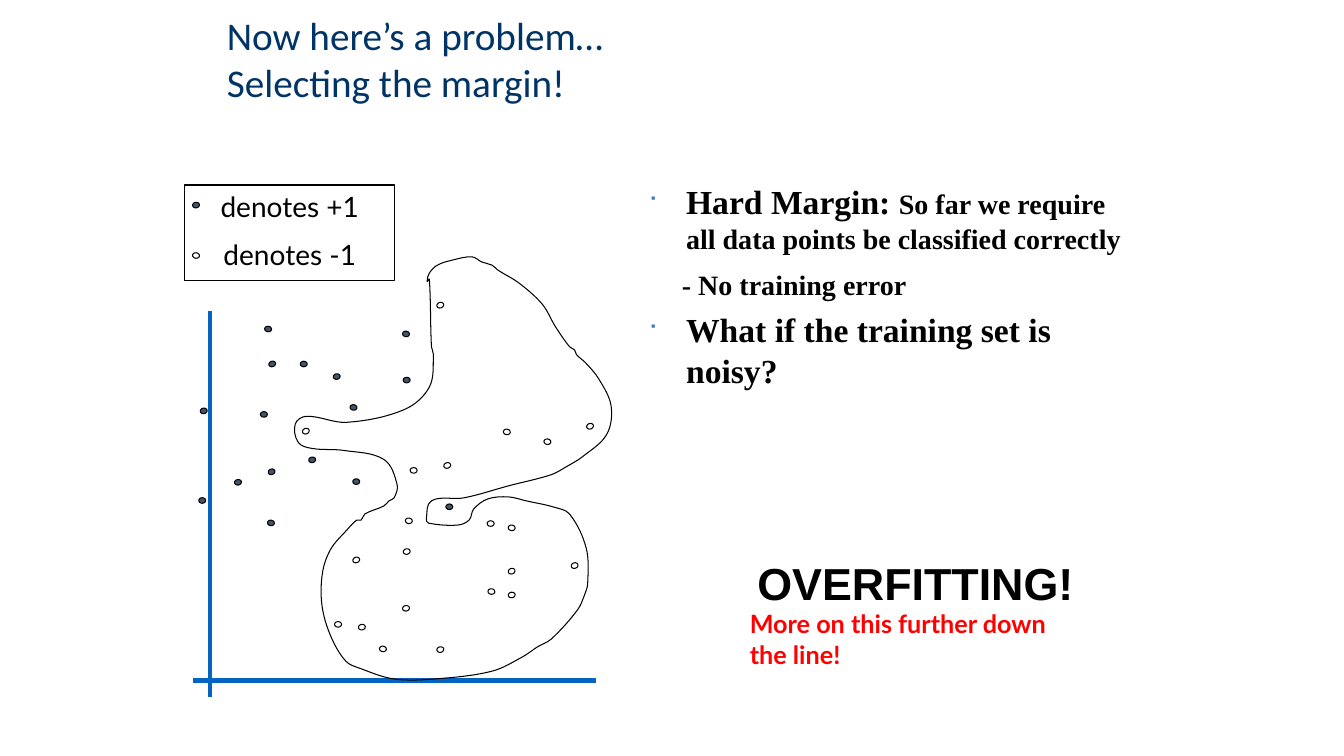
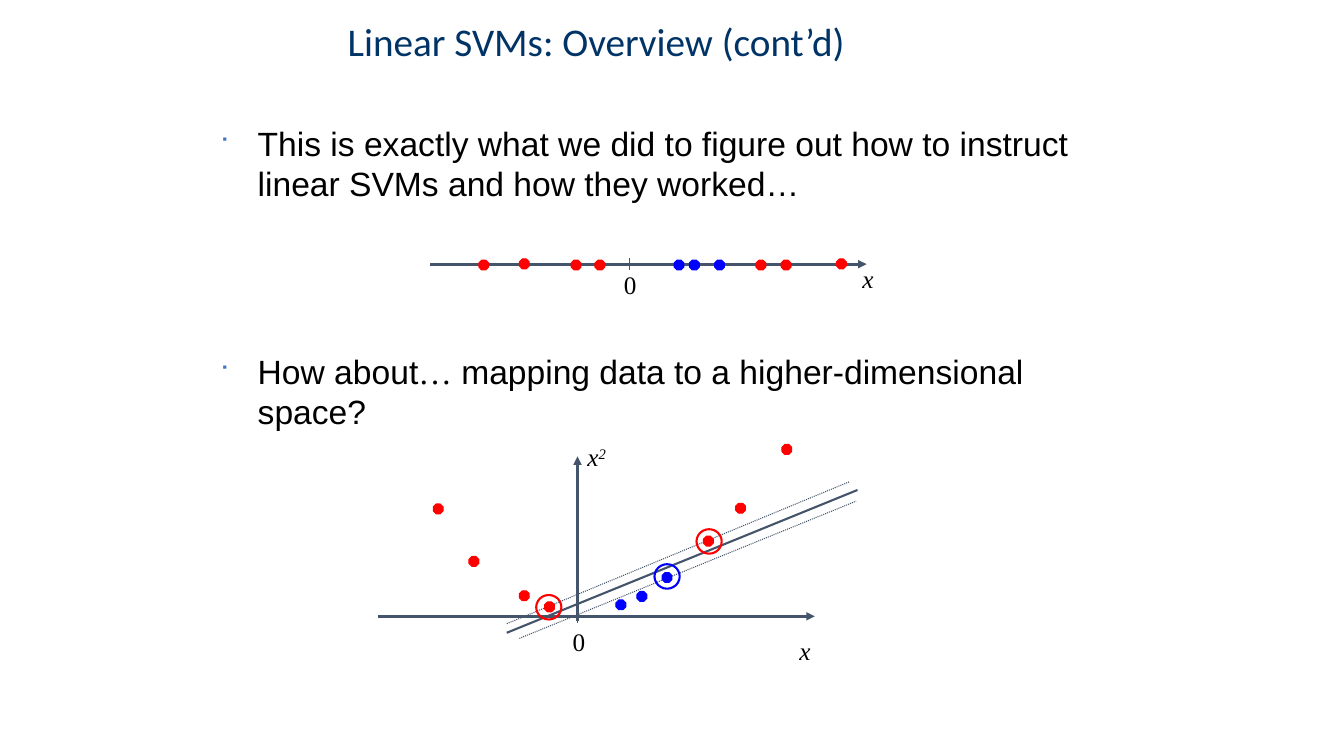
from math import hypot
from lxml import etree
from pptx import Presentation, util as u
from pptx.dml.color import RGBColor
from pptx.enum import dml, shapes, text
from pptx.oxml.ns import qn

Pt = u.Pt
HUE = {"navy": "003366", "ink": "000000", "slate": "44546A", "white": "FFFFFF",
       "red": "FF0000", "blue": "0000FF", "axis": "0563C1", "mark": "4472C4"}
RGB = {key: RGBColor.from_string(val) for key, val in HUE.items()}
KIND = shapes.MSO_SHAPE

# Shared text formats
HEAD = {"name": "Calibri", "size": Pt(28), "color": "navy"}
BIG = {"name": "Times New Roman", "size": Pt(24), "bold": True, "color": "ink"}
SMALL = BIG | {"size": Pt(20)}
BODY = {"name": "Arial", "size": Pt(24), "color": "ink"}
DOTS = BODY | {"name": "Times New Roman"}
KEY = {"name": "Lato", "size": Pt(20), "color": "ink"}
LABEL = {"name": "Times New Roman", "size": Pt(18), "color": "ink"}
VAR = LABEL | {"italic": True}
SHOUT = {"name": "Arial", "size": Pt(32), "bold": True, "color": "ink"}
NOTE = {"name": "Lato", "size": Pt(18), "bold": True, "color": "red"}


def put(page, kind, box, fill, line, wide=0.75, tilt=0):
    """Add a preset shape; fill may be None."""
    item = page.shapes.add_shape(kind, *map(Pt, box))
    item.shadow.inherit = False
    item.rotation = tilt
    if fill:
        item.fill.solid()
        item.fill.fore_color.rgb = RGB[fill]
    else:
        item.fill.background()
    item.line.color.rgb = RGB[line]
    item.line.width = Pt(wide)
    return item


def write(item, paras, align=None):
    """Fill a shape with (options, runs) paragraphs."""
    frame = item.text_frame
    frame.word_wrap = True
    frame.vertical_anchor = text.MSO_ANCHOR.TOP
    for num, (opts, runs) in enumerate(paras):
        para = frame.add_paragraph() if num else frame.paragraphs[0]
        para.alignment = align or text.PP_ALIGN.LEFT
        if "gap" in opts:
            para.space_before = Pt(opts["gap"])
        props = para._p.get_or_add_pPr()
        if "left" in opts:
            props.set("marL", str(Pt(opts["left"])))
        if opts.get("mark"):
            props.set("indent", str(-Pt(opts["left"])))
            color = etree.SubElement(props, qn("a:buClr"))
            etree.SubElement(color, qn("a:srgbClr"), val=HUE["mark"])
            etree.SubElement(props, qn("a:buSzPct"), val="65000")
            etree.SubElement(props, qn("a:buFont"), typeface="Wingdings")
            etree.SubElement(props, qn("a:buChar"), char="■")
        for words, form in runs:
            for part, line in enumerate(words.split("\n")):
                if part:
                    para.add_line_break()
                run = para.add_run()
                run.text = line
                for key, val in form.items():
                    if key == "color":
                        run.font.color.rgb = RGB[val]
                    elif key == "base":
                        run.font._element.set("baseline", val)
                    else:
                        setattr(run.font, key, val)
    return frame


deck = Presentation()
deck.slide_width, deck.slide_height = Pt(960), Pt(540)
one, two = (deck.slides.add_slide(deck.slide_layouts[6]) for _ in range(2))
LIST = {"left": 27, "mark": True}

# Legend box
write(put(one, KIND.RECTANGLE, (132, 132, 150, 68.5), None, "ink", 1),
      [({}, [("denotes +1", KEY)]), ({"gap": 10}, [("denotes -1", KEY)])],
      text.PP_ALIGN.CENTER)

# Lines: page, from, to, colour, width, style
LINES = [
    (one, (150, 222), (150, 498), "axis", 3, ""),
    (one, (138, 486), (426, 486), "axis", 3, ""),
    (two, (307.5, 188.7), (619, 188.7), "slate", 2, "arrow"),
    (two, (449.8, 184.5), (449.8, 193), "slate", 0.75, ""),
    (two, (270, 440.2), (582, 440.2), "slate", 2, "arrow"),
    (two, (412.5, 443.5), (412.5, 326), "slate", 2, "arrow"),
    (two, (412.5, 435.5), (412.5, 445), "slate", 0.75, ""),
    (two, (362, 452), (612.5, 350), "slate", 1.5, ""),
    (two, (362, 445.5), (607, 344), "slate", 0.75, "dots"),
    (two, (371, 456), (611.5, 358), "slate", 0.75, "dots"),
]
for page, start, end, color, wide, style in LINES:
    link = page.shapes.add_connector(shapes.MSO_CONNECTOR.STRAIGHT,
                                     *map(Pt, start + end))
    link.line.color.rgb = RGB[color]
    link.line.width = Pt(wide)
    if style == "dots":
        link.line.dash_style = dml.MSO_LINE.ROUND_DOT
    if style == "arrow":
        etree.SubElement(link.line._get_or_add_ln(), qn("a:tailEnd"), type="triangle")
    etree.SubElement(link._element.spPr, qn("a:effectLst"))

# Training points, by tilt: +1 class, then -1 class
POINTS = {
    0: ([(142, 355.5), (288, 269.5), (214.5, 258), (252, 342), (186, 294), (318.5, 360)],
        [(239, 444), (293, 334), (348, 372)]),
    341.4: ([(192, 258), (191.5, 335)],
            [(252, 398), (419, 302.5), (363, 406), (317, 330.5), (408, 402),
             (216, 306), (312, 216)]),
    98.3: ([(250.5, 288.5), (191.5, 371), (288, 236), (189.5, 232.5)],
           [(138, 180), (271.5, 461), (363.5, 374.5), (290, 369.5), (389, 313),
            (360, 306), (349, 420)]),
    79.6: ([(138, 144), (221, 326), (168, 342), (238.5, 266.5), (143.5, 291)],
           [(312.5, 461.5), (288, 432), (288.5, 391.5), (256.5, 445.5), (363.5, 422.5)]),
}
for tilt, groups in POINTS.items():
    size = (4, 5) if 45 < tilt < 135 else (5, 4)
    for fill, spots in zip(("slate", "white"), groups):
        for spot in spots:
            put(one, KIND.OVAL, spot + size, fill, "ink", tilt=tilt)

# Overfitted border: a smooth closed curve through these knots
KNOTS = [
    (306.7, 199.4), (308.2, 247.7), (309.6, 253.4), (306.7, 276.5), (289, 292.5),
    (247.7, 301.7), (218.9, 297.4), (210.9, 302.9), (213.1, 316.1), (223.2, 320.4),
    (245.5, 321.8), (274.3, 328.3), (283.7, 346.3), (281.5, 355.7), (277.9, 357.8),
    (274.3, 361.4), (260.6, 367.2), (258, 371.5), (254.9, 371.5), (247.7, 378.7),
    (236.2, 392.4), (230.4, 409), (230, 432.4), (236.2, 454.3), (247, 472.3),
    (257, 477.4), (281.3, 485), (310.7, 485), (351.4, 479.5),
    (373, 469.4), (383.8, 462.2), (393.8, 456.5), (412.6, 435.6), (417.6, 424.8),
    (419.8, 416.9), (418.7, 391.5), (406.8, 367.2), (395.3, 362.2), (375.8, 357.8),
    (363.2, 355), (348.5, 356.4), (338.4, 363.6), (335.1, 371.5), (326.9, 375.1),
    (306, 373.7), (304.6, 370.8), (308.2, 357.8), (331.2, 355.7), (363.6, 347),
    (393.8, 339.1), (404.6, 333.4), (416.2, 326.2), (433.4, 310.3),
    (436.5, 290), (427.7, 270.7), (418.3, 259.2), (411.8, 253.4), (410.4, 250),
    (406.8, 247.7), (396.7, 233.3), (387.4, 217.4), (370.8, 202.3), (355.7, 193),
    (351.4, 189.4), (344.2, 187.2), (337.2, 183.5), (323.3, 185.8),
    (312.5, 189.4), (306.7, 195.1), (305.1, 201),
]
pen = one.shapes.build_freeform(*map(Pt, KNOTS[0]))
pen.add_line_segments([tuple(map(Pt, knot)) for knot in KNOTS[1:] + KNOTS[:1]])
border = pen.convert_to_shape()
border.shadow.inherit = False
border.fill.background()
border.line.color.rgb = RGB["ink"]
border.line.width = Pt(0.75)

# Bend each straight side along the direction between neighbouring knots
ways = []
for num in range(len(KNOTS)):
    (ax, ay), (bx, by) = KNOTS[num - 1], KNOTS[(num + 1) % len(KNOTS)]
    span = hypot(bx - ax, by - ay)
    ways.append(((bx - ax) / span, (by - ay) / span))
for num, side in enumerate(list(border._element.iter(qn("a:lnTo")))):
    nxt = (num + 1) % len(KNOTS)
    a, b = KNOTS[num], KNOTS[nxt]
    reach = hypot(b[0] - a[0], b[1] - a[1]) / 3
    bend = etree.Element(qn("a:cubicBezTo"))
    for (x, y), (dx, dy), far in ((a, ways[num], reach), (b, ways[nxt], -reach),
                                  (b, ways[nxt], 0)):
        etree.SubElement(bend, qn("a:pt"), x=str(Pt(x + far * dx) - border.left),
                         y=str(Pt(y + far * dy) - border.top))
    side.getparent().replace(side, bend)

# Data on the line and in the mapped plane
DATA = {
    "red": [(342, 185.8), (371, 185), (408, 185.8), (425, 185.8), (540, 185.8),
            (558, 185.8), (597.5, 185), (309.5, 360), (335, 397.5), (371, 422),
            (389, 430), (502.5, 383), (525.5, 359.5), (558.5, 317.5)],
    "blue": [(481.5, 185.8), (492.5, 185.8), (510.5, 185.8), (440, 428.5),
             (455, 422.5), (473, 409)],
}
for color, spots in DATA.items():
    for spot in spots:
        put(two, KIND.OCTAGON, spot + (7, 7), color, color)

# Support vector rings
for x, y, color in ((497.5, 378, "red"), (467.5, 403, "blue"), (383, 425, "red")):
    put(two, KIND.OVAL, (x, y, 18, 17.5), None, color, 1.5)

# Text boxes: page, box, paragraphs
TEXTS = [
    (one, (155, 4.5, 648, 90), [({}, [("Now here’s a problem…\nSelecting the margin!", HEAD)])]),
    (one, (456, 126, 354, 348), [
        (LIST, [("Hard Margin: ", BIG),
                ("So far we require all data points be classified correctly", SMALL)]),
        ({"left": 24, "gap": 8.6}, [("- No training error", SMALL)]),
        (LIST | {"gap": 6}, [("What if the training set is noisy?", BIG)])]),
    (one, (528.5, 431.2, 255.5, 51), [({}, [("More on this further down the line!", NOTE)])]),
    (two, (241.2, 9, 447, 66), [({}, [("Linear SVMs: Overview (cont’d)", HEAD)])]),
    (two, (150, 84, 648, 396), [
        (LIST, [("This is exactly what we did to figure out how to instruct "
                 "linear SVMs and how they worked…", BODY)]),
        (LIST | {"gap": 105.3}, [("How about", BODY), ("…", DOTS),
                                 (" mapping data to a higher-dimensional space?", BODY)])]),
    (two, (438.5, 188.5, 27, 29), [({}, [("0", LABEL)])]),
    (two, (402, 444, 27, 29), [({}, [("0", LABEL)])]),
    (two, (609, 184.5, 36, 29), [({}, [("x", VAR)])]),
    (two, (564, 450, 36, 29), [({}, [("x", VAR)])]),
    (two, (412.5, 312, 36, 29), [({}, [("x", VAR), ("2", VAR | {"base": "30000"})])]),
]
for page, box, paras in TEXTS:
    write(page.shapes.add_textbox(*map(Pt, box)), paras)

# Verdict
frame = write(one.shapes.add_textbox(*map(Pt, (524, 378, 260, 76))),
              [({}, [("OVERFITTING!", SHOUT)])], text.PP_ALIGN.CENTER)
frame.vertical_anchor = text.MSO_ANCHOR.MIDDLE

deck.save("out.pptx")
